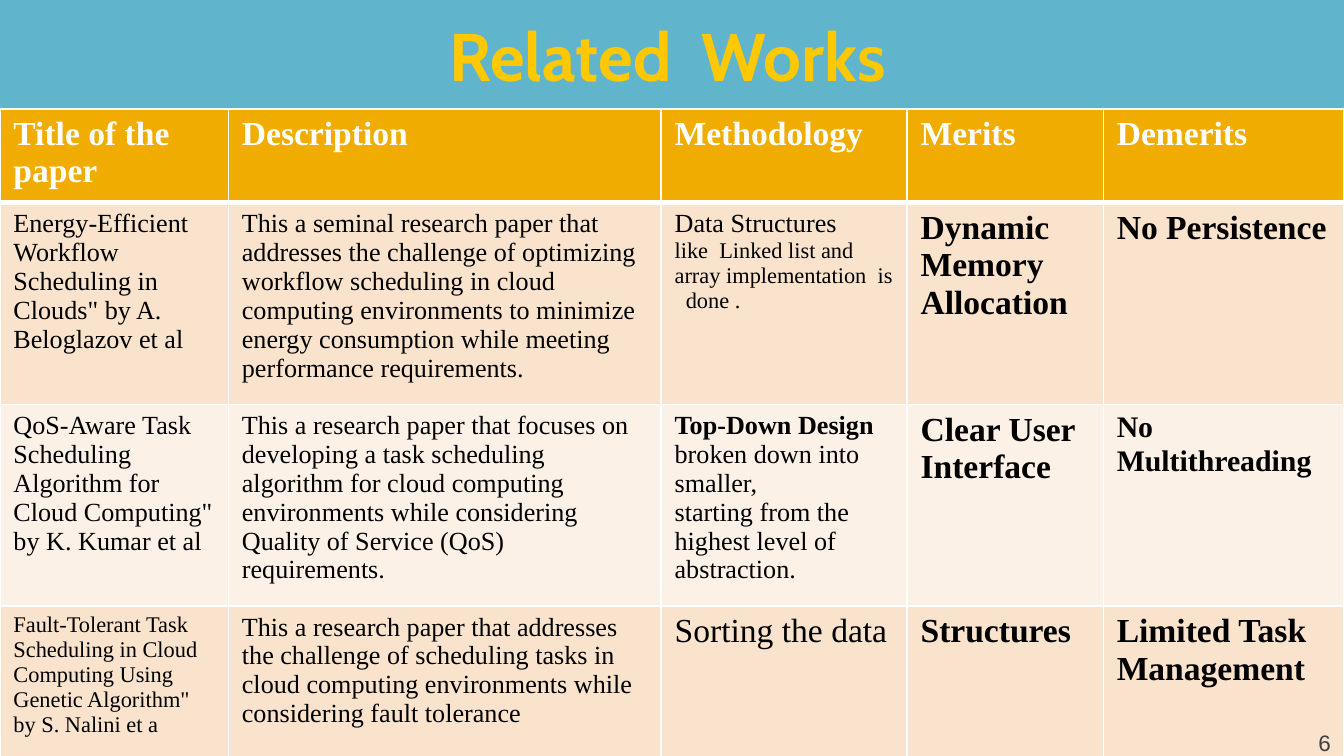
from dataclasses import dataclass

from lxml import etree
from pptx import Presentation
from pptx.dml.color import RGBColor
from pptx.enum.shapes import MSO_SHAPE
from pptx.enum.text import MSO_ANCHOR, PP_ALIGN
from pptx.oxml.ns import qn
from pptx.util import Inches, Pt

RECTANGLE = MSO_SHAPE.RECTANGLE
MIDDLE, BOTTOM = MSO_ANCHOR.MIDDLE, MSO_ANCHOR.BOTTOM
CENTER, RIGHT = PP_ALIGN.CENTER, PP_ALIGN.RIGHT


@dataclass(frozen=True)
class Style:
    """Look of one piece of text."""

    size: int
    bold: bool = False
    color: str = "000000"
    font: str = "Times New Roman"


@dataclass(frozen=True)
class Theme:
    """Colours and type sizes of the slide."""

    banner: str = "60B5CC"
    header: str = "F0AD00"
    bands: tuple = ("F9E3CC", "FCF1E7")
    border: str = "FFFFFF"
    thin: int = 1
    thick: int = 3
    title: Style = Style(36, True, "FFC800", "Cabin")
    heading: Style = Style(18, True, "FFFFFF")
    body: Style = Style(14)
    small: Style = Style(12)
    large: Style = Style(18)
    lead: Style = Style(14, True)
    point: Style = Style(16, True)
    strong: Style = Style(18, True)
    number: Style = Style(12, False, "3F3F3F", "Arial")


THEME = Theme()
WIDTH = 10
HEIGHT = WIDTH * 9 / 16
BANNER_HEIGHT = 0.81
COLUMNS = (1.7, 3.22, 1.83, 1.46, 1.79)
ROWS = (0.7, 1.5, 1.5, 1.13)

HEADINGS = ("Title of the paper", "Description", "Methodology", "Merits", "Demerits")
PAPERS = (
    (
        [("Energy-Efficient Workflow Scheduling in Clouds\" by A. Beloglazov et al", THEME.body)],
        [("This a seminal research paper that addresses the challenge of optimizing "
          "workflow scheduling in cloud computing environments to minimize energy "
          "consumption while meeting performance requirements.", THEME.body)],
        [("Data Structures", THEME.body),
         ("like  Linked list and array implementation  is   done .", THEME.small)],
        [("Dynamic Memory Allocation", THEME.strong)],
        [("No Persistence", THEME.strong)],
    ),
    (
        [("QoS-Aware Task Scheduling Algorithm for Cloud Computing\" by K. Kumar et al", THEME.body)],
        [("This a research paper that focuses on developing a task scheduling algorithm "
          "for cloud computing environments while considering Quality of Service (QoS) "
          "requirements.", THEME.body)],
        [("Top-Down Design", THEME.lead),
         ("broken down into smaller,", THEME.body),
         ("starting from the highest level of abstraction.", THEME.body)],
        [("Clear User Interface", THEME.strong)],
        [("No Multithreading", THEME.point)],
    ),
    (
        [("Fault-Tolerant Task Scheduling in Cloud Computing Using Genetic Algorithm\" "
          "by S. Nalini et a", THEME.small)],
        [("This a research paper that addresses the challenge of scheduling tasks in cloud "
          "computing environments while considering fault tolerance", THEME.body)],
        [("Sorting the data", THEME.large)],
        [("Structures", THEME.strong)],
        [("Limited Task Management", THEME.strong)],
    ),
)


def write(frame, lines, align=None):
    """Fill a text frame with one styled paragraph per line."""
    frame.text = "\n".join(text for text, _ in lines)
    for para, (_, style) in zip(frame.paragraphs, lines):
        para.alignment = align
        for span in para.runs:
            span.font.size = Pt(style.size)
            span.font.bold = style.bold
            span.font.name = style.font
            span.font.color.rgb = RGBColor.from_string(style.color)


def set_margins(frame, left, top, right, bottom):
    """Set the four insets of a text frame in inches."""
    frame.margin_left, frame.margin_top = Inches(left), Inches(top)
    frame.margin_right, frame.margin_bottom = Inches(right), Inches(bottom)


def add_banner(page, text):
    """Draw the title band across the top."""
    box = page.shapes.add_shape(RECTANGLE, 0, 0, Inches(WIDTH), Inches(BANNER_HEIGHT))
    box.shadow.inherit = False
    box.fill.solid()
    box.fill.fore_color.rgb = RGBColor.from_string(THEME.banner)
    box.line.fill.background()
    frame = box.text_frame
    frame.word_wrap = True
    frame.vertical_anchor = MIDDLE
    set_margins(frame, 0.1, 0.05, 0.05, 0.05)
    write(frame, [(text, THEME.title)], CENTER)


def set_borders(cell, top, bottom):
    """Give a cell its four border lines, ahead of its fill."""
    properties = cell._tc.get_or_add_tcPr()
    widths = {"a:lnL": THEME.thin, "a:lnR": THEME.thin, "a:lnT": top, "a:lnB": bottom}
    for position, (tag, width) in enumerate(widths.items()):
        line = etree.Element(qn(tag), w=str(Pt(width)))
        fill = etree.SubElement(line, qn("a:solidFill"))
        etree.SubElement(fill, qn("a:srgbClr"), val=THEME.border)
        properties.insert(position, line)


def fill_cell(cell, lines, color, top, bottom):
    """Write, colour and outline one table cell."""
    write(cell.text_frame, lines)
    cell.fill.solid()
    cell.fill.fore_color.rgb = RGBColor.from_string(color)
    set_borders(cell, top, bottom)


def add_papers_table(page):
    """Add the comparison of papers below the banner."""
    table = page.shapes.add_table(
        len(ROWS), len(COLUMNS), 0, Inches(BANNER_HEIGHT), Inches(WIDTH), Inches(sum(ROWS))
    ).table
    for column, width in zip(table.columns, COLUMNS):
        column.width = Inches(width)
    for row, height in zip(table.rows, ROWS):
        row.height = Inches(height)
    for column, heading in enumerate(HEADINGS):
        fill_cell(table.cell(0, column), [(heading, THEME.heading)],
                  THEME.header, THEME.thin, THEME.thick)
    for row, paper in enumerate(PAPERS, start=1):
        band = THEME.bands[(row - 1) % len(THEME.bands)]
        top = THEME.thick if row == 1 else THEME.thin
        for column, lines in enumerate(paper):
            fill_cell(table.cell(row, column), lines, band, top, THEME.thin)


def add_page_number(page, number):
    """Place the page number in the bottom right corner."""
    width, height = 0.08 * WIDTH, 0.04 * HEIGHT
    box = page.shapes.add_textbox(
        Inches(WIDTH - width), Inches(HEIGHT - height), Inches(width), Inches(height)
    )
    frame = box.text_frame
    frame.word_wrap = True
    frame.vertical_anchor = BOTTOM
    set_margins(frame, 0.1, 0.05, 0.1, 0)
    write(frame, [(number, THEME.number)], RIGHT)


def main():
    """Build the slide and save the deck."""
    deck = Presentation()
    deck.slide_width, deck.slide_height = Inches(WIDTH), Inches(HEIGHT)
    page = deck.slides.add_slide(deck.slide_layouts[6])
    add_banner(page, "Related  Works ")
    add_papers_table(page)
    add_page_number(page, "6")
    deck.save("out.pptx")


if __name__ == "__main__":
    main()
